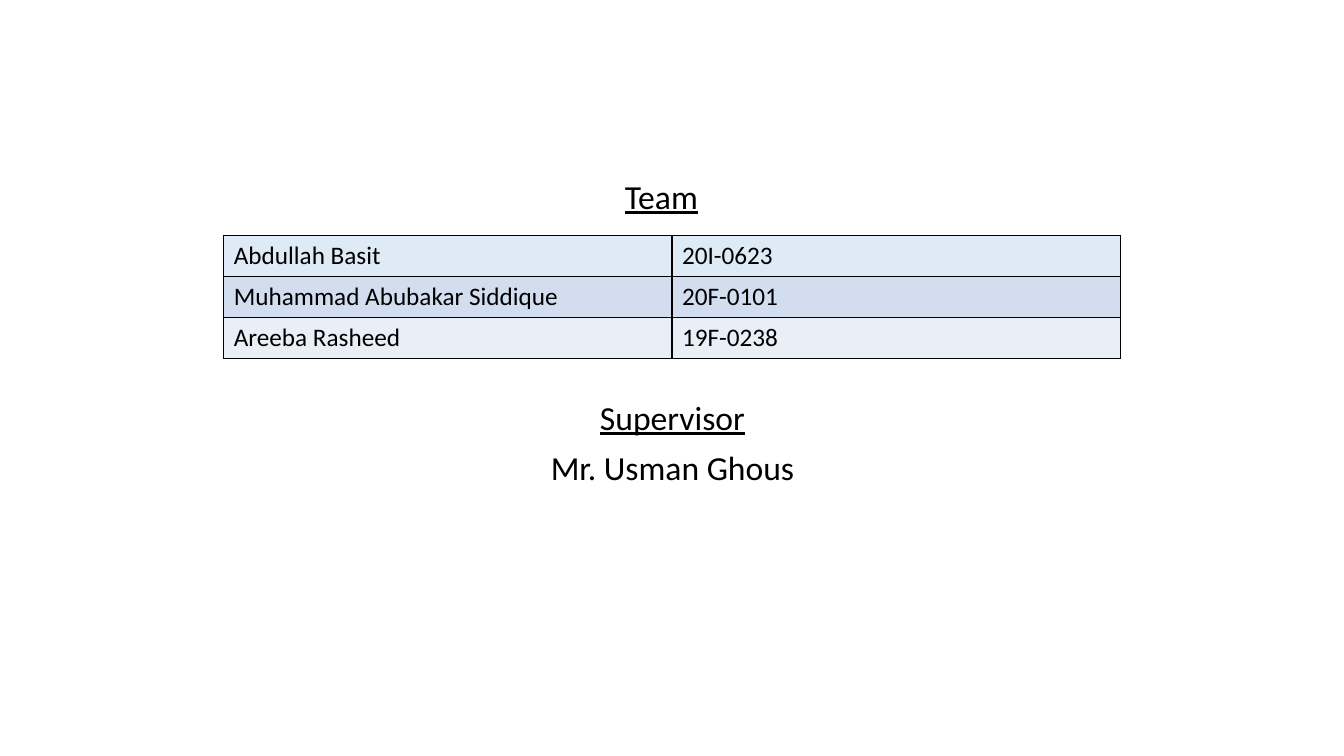
import dataclasses

import lxml.etree
import pptx
import pptx.dml.color
import pptx.enum.text
import pptx.oxml.ns
import pptx.util
from pptx.util import Inches


@dataclasses.dataclass(frozen=True)
class Theme:
    font: str = "Calibri"
    ink: str = "000000"
    row_fills: tuple = ("DEEBF7", "D2DEEF", "EAEFF7")
    heading_size: int = 24
    table_size: int = 18
    border_width: int = 1


THEME = Theme()
MEMBERS = (
    ("Abdullah Basit", "20I-0623"),
    ("Muhammad Abubakar Siddique", "20F-0101"),
    ("Areeba Rasheed", "19F-0238"),
)


def rgb(value):
    return pptx.dml.color.RGBColor.from_string(value)


def format_runs(paragraph, size, underline=False):
    for run in paragraph.runs:
        run.font.name = THEME.font
        run.font.size = pptx.util.Pt(size)
        run.font.color.rgb = rgb(THEME.ink)
        run.font.underline = underline


def fill_heading(shape, lines):
    """Centred lines, the first one underlined."""
    text_frame = shape.text_frame
    text_frame.text = "\n".join(lines)
    text_frame.word_wrap = True
    text_frame.auto_size = pptx.enum.text.MSO_AUTO_SIZE.NONE
    text_frame.vertical_anchor = pptx.enum.text.MSO_ANCHOR.TOP
    for index, paragraph in enumerate(text_frame.paragraphs):
        paragraph.alignment = pptx.enum.text.PP_ALIGN.CENTER
        paragraph.line_spacing = 0.9
        paragraph.space_before = pptx.util.Pt(10)
        format_runs(paragraph, THEME.heading_size, underline=index == 0)


def add_team_title(slide, left, top, width, height):
    title = slide.shapes.title
    title.left, title.top = Inches(left), Inches(top)
    title.width, title.height = Inches(width), Inches(height)
    fill_heading(title, ["Team"])


def set_borders(cell):
    properties = cell._tc.get_or_add_tcPr()
    qualified = pptx.oxml.ns.qn
    for position, side in enumerate(("lnL", "lnR", "lnT", "lnB")):
        line = lxml.etree.Element(qualified(f"a:{side}"))
        line.set("w", str(pptx.util.Pt(THEME.border_width)))
        fill = lxml.etree.SubElement(line, qualified("a:solidFill"))
        lxml.etree.SubElement(fill, qualified("a:srgbClr")).set("val", THEME.ink)
        properties.insert(position, line)


def add_member_table(slide, left, top, width, height):
    frame = slide.shapes.add_table(
        len(MEMBERS), len(MEMBERS[0]),
        Inches(left), Inches(top), Inches(width), Inches(height),
    )
    table = frame.table
    table.first_row = False
    table.horz_banding = False
    for row, (member, fill) in enumerate(zip(MEMBERS, THEME.row_fills)):
        for column, text in enumerate(member):
            cell = table.cell(row, column)
            cell.text = text
            format_runs(cell.text_frame.paragraphs[0], THEME.table_size)
            cell.fill.solid()
            cell.fill.fore_color.rgb = rgb(fill)
            set_borders(cell)


def add_supervisor(slide, left, top, width, height):
    box = slide.shapes.add_textbox(
        Inches(left), Inches(top), Inches(width), Inches(height)
    )
    fill_heading(box, ["Supervisor", "Mr. Usman Ghous"])


def main():
    presentation = pptx.Presentation()
    presentation.slide_width = Inches(13.33)
    presentation.slide_height = Inches(7.5)
    title_only = presentation.slide_layouts.get_by_name("Title Only")
    slide = presentation.slides.add_slide(title_only)

    # Team heading and members
    add_team_title(slide, 1.56, 1.74, 10, 0.48)
    add_member_table(slide, 2.22, 2.34, 8.89, 1.22)

    # Supervisor
    add_supervisor(slide, 1.67, 3.93, 10, 1.84)

    presentation.save("out.pptx")


if __name__ == "__main__":
    main()
